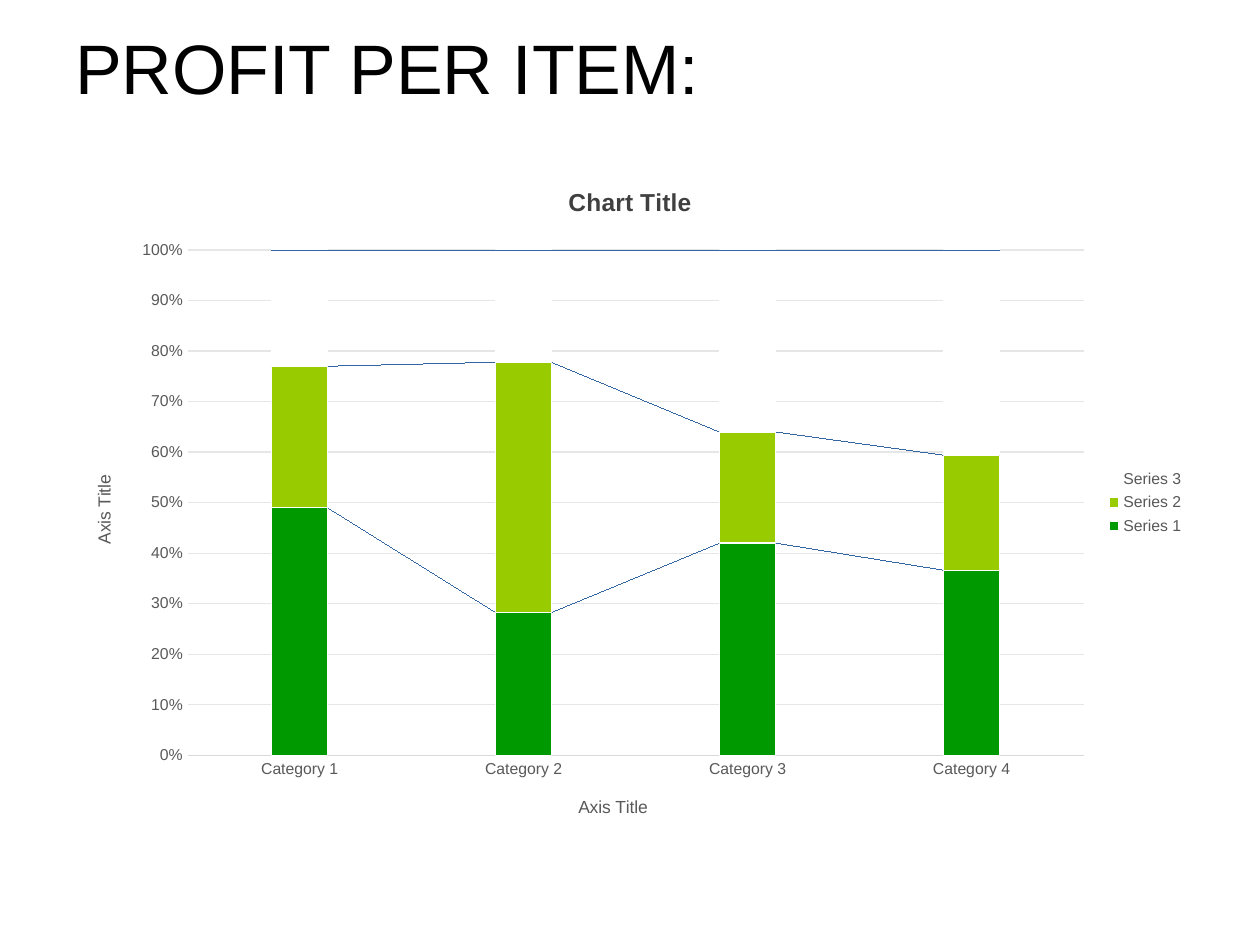
"""Build the profit per item slide with a 100% stacked column chart."""
import pptx
import pptx.chart.data
import pptx.dml.color
import pptx.enum.chart
import pptx.enum.text
import pptx.oxml
import pptx.oxml.ns
import pptx.util
from pptx.util import Inches, Pt

FONT = "Arial"
COLORS = {
    "black": "000000", "title": "404040", "text": "595959",
    "axis": "D9D9D9", "grid": "E6E6E6", "white": "FFFFFF",
    "green": "009900", "lime": "99CC00", "link": "2A6099",
}
CATEGORIES = ["Category 1", "Category 2", "Category 3", "Category 4"]
SERIES = [
    ("Series 1", (49, 28, 42, 37), "green"),
    ("Series 2", (28, 49, 22, 23), "lime"),
    ("Series 3", (23, 22, 36, 41), "white"),
]
PLOT_LAYOUT = {"x": 0.11, "y": 0.13, "w": 0.79, "h": 0.74}


def rgb(name):
    return pptx.dml.color.RGBColor.from_string(COLORS[name])


def style_font(font, size, color, bold=False):
    font.name, font.size, font.bold = FONT, Pt(size), bold
    font.color.rgb = rgb(color)


def style_line(line, color):
    line.color.rgb = rgb(color)
    line.width = Pt(0.75)


def add_heading(slide, text):
    sp = slide.shapes.add_textbox(Inches(0.5), Inches(0.21), Inches(9), Inches(0.64))
    tf = sp.text_frame
    tf.word_wrap = True
    tf.vertical_anchor = pptx.enum.text.MSO_ANCHOR.MIDDLE
    p = tf.paragraphs[0]
    p.text = text
    style_font(p.font, 40, "black")


def set_title(owner, text, size, color, bold=False):
    p = owner.text_frame.paragraphs[0]
    p.text = text
    style_font(p.font, size, color, bold)


def style_axis(axis):
    axis.major_tick_mark = axis.minor_tick_mark = pptx.enum.chart.XL_TICK_MARK.NONE
    style_font(axis.tick_labels.font, 9, "text")
    set_title(axis.axis_title, "Axis Title", 10, "text")


def set_plot_layout(chart):
    ns = pptx.oxml.ns.nsdecls("c")
    sizes = "".join(f'<c:{k} val="{v}"/>' for k, v in PLOT_LAYOUT.items())
    layout = pptx.oxml.parse_xml(
        f'<c:layout {ns}><c:manualLayout><c:layoutTarget val="inner"/>'
        f'<c:xMode val="edge"/><c:yMode val="edge"/>{sizes}'
        "</c:manualLayout></c:layout>"
    )
    area = chart.element.find(".//" + pptx.oxml.ns.qn("c:plotArea"))
    for old in area.findall(pptx.oxml.ns.qn("c:layout")):
        area.remove(old)
    area.insert(0, layout)


def add_series_lines(chart):
    lines = pptx.oxml.parse_xml(
        f'<c:serLines {pptx.oxml.ns.nsdecls("c", "a")}><c:spPr><a:ln w="9525"><a:solidFill>'
        f'<a:srgbClr val="{COLORS["link"]}"/></a:solidFill></a:ln></c:spPr></c:serLines>'
    )
    chart.element.find(".//" + pptx.oxml.ns.qn("c:overlap")).addnext(lines)


def add_profit_chart(slide):
    data = pptx.chart.data.CategoryChartData()
    data.categories = CATEGORIES
    for name, values, _ in SERIES:
        data.add_series(name, values)
    chart = slide.shapes.add_chart(
        pptx.enum.chart.XL_CHART_TYPE.COLUMN_STACKED_100,
        Inches(0.5), Inches(1.28), Inches(9), Inches(5.42), data,
    ).chart
    style_font(chart.font, 10, "black")
    chart.has_title = True
    set_title(chart.chart_title, "Chart Title", 14, "title", True)

    plot = chart.plots[0]
    plot.gap_width, plot.overlap, plot.vary_by_categories = 300, 100, False
    for series, (_, _, color) in zip(plot.series, SERIES):
        series.format.fill.solid()
        series.format.fill.fore_color.rgb = rgb(color)
        style_line(series.format.line, "white")

    style_axis(chart.category_axis)
    style_line(chart.category_axis.format.line, "axis")
    values = chart.value_axis
    style_axis(values)
    values.format.line.fill.background()
    values.minimum_scale, values.maximum_scale, values.major_unit = 0, 1, 0.1
    values.tick_labels.number_format = "0%"
    values.tick_labels.number_format_is_linked = False
    values.has_major_gridlines = True
    style_line(values.major_gridlines.format.line, "grid")

    chart.has_legend = True
    chart.legend.position = pptx.enum.chart.XL_LEGEND_POSITION.RIGHT
    chart.legend.include_in_layout = False
    style_font(chart.legend.font, 9, "text")
    set_plot_layout(chart)
    add_series_lines(chart)


def main():
    prs = pptx.Presentation()
    prs.slide_width, prs.slide_height = Inches(10), Inches(7.5)
    slide = prs.slides.add_slide(prs.slide_layouts[6])
    add_heading(slide, "PROFIT PER ITEM:")
    add_profit_chart(slide)
    prs.save("out.pptx")


if __name__ == "__main__":
    main()
